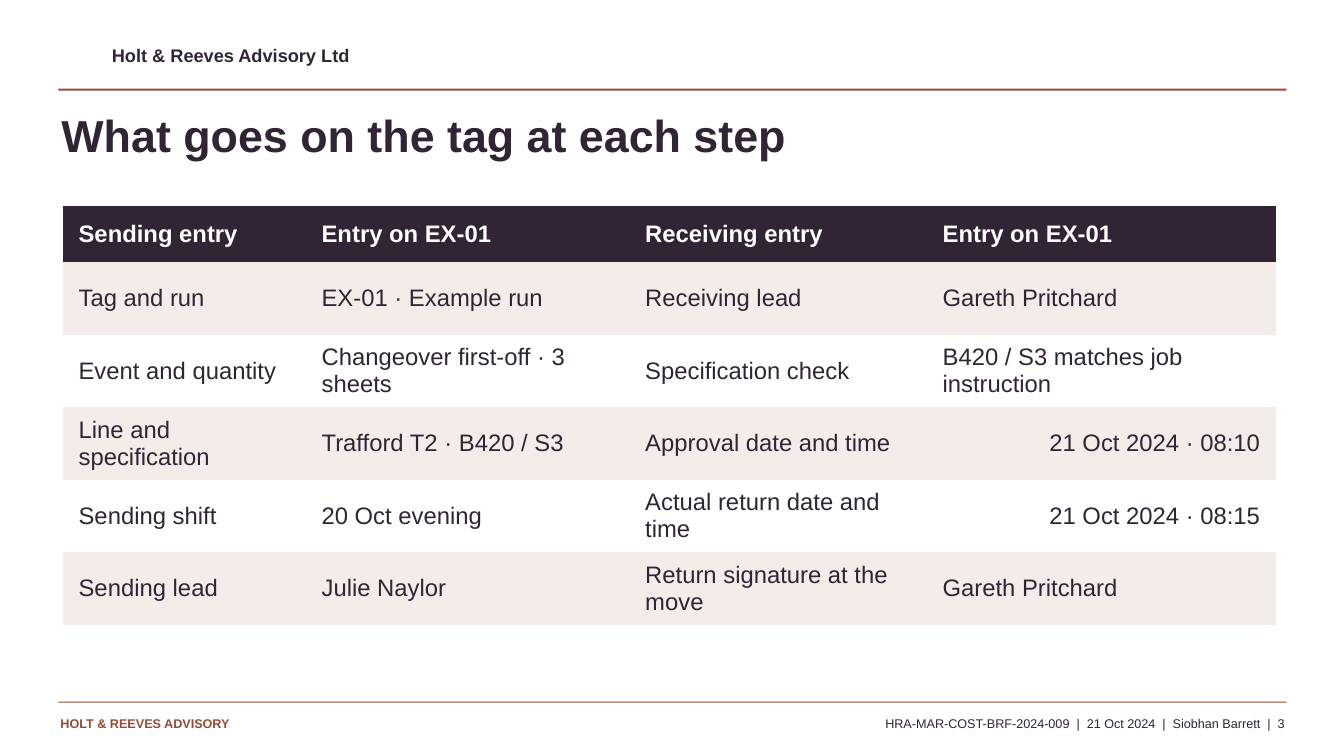
from pptx import Presentation
from pptx.dml.color import RGBColor
from pptx.enum.shapes import MSO_SHAPE as Shape
from pptx.enum.text import MSO_ANCHOR as Anchor, PP_ALIGN as Align
from pptx.oxml.ns import qn
from pptx.util import Inches, Pt

PLUM, RUST, BLUSH, WHITE = "302435", "964B37", "F4ECE8", "FFFFFF"

# text, (left, top, width, height), format
LABELS = [
    ("Holt & Reeves Advisory Ltd", (1.11, 0.44, 6, 0.27),
     dict(size=13, bold=True)),
    ("What goes on the tag at each step", (0.61, 1.07, 12, 0.78),
     dict(size=32, bold=True)),
    ("HOLT & REEVES ADVISORY", (0.6, 7.1, 3.4, 0.25),
     dict(size=9, bold=True, color=RUST)),
    ("HRA-MAR-COST-BRF-2024-009  |  21 Oct 2024  |  Siobhan Barrett  |  3",
     (4.12, 7.1, 8.62, 0.24), dict(size=9, align=Align.RIGHT)),
]

# (left, top, width, height) of the header and footer rules
RULES = [(0.58, 0.88, 12.18, 0.02), (0.58, 6.96, 12.18, 0.01)]

TAG_ENTRIES = [
    ("Sending entry", "Entry on EX-01", "Receiving entry", "Entry on EX-01"),
    ("Tag and run", "EX-01 · Example run", "Receiving lead", "Gareth Pritchard"),
    ("Event and quantity", "Changeover first-off · 3 sheets",
     "Specification check", "B420 / S3 matches job instruction"),
    ("Line and specification", "Trafford T2 · B420 / S3",
     "Approval date and time", "21 Oct 2024 · 08:10"),
    ("Sending shift", "20 Oct evening",
     "Actual return date and time", "21 Oct 2024 · 08:15"),
    ("Sending lead", "Julie Naylor",
     "Return signature at the move", "Gareth Pritchard"),
]
TABLE_LEFT, TABLE_TOP = 0.62, 2.04
COLUMN_WIDTHS = [2.41, 3.21, 2.95, 3.47]
HEADER_HEIGHT, ENTRY_HEIGHT = 0.56, 0.72
NO_STYLE_NO_GRID = "{2D5ABB26-0587-4C30-8999-92F81FD0307C}"
CELL_FORMAT = dict(
    vertical_anchor=Anchor.MIDDLE,
    margin_left=Inches(0.16), margin_right=Inches(0.16),
    margin_top=Inches(0.05), margin_bottom=Inches(0.05),
)
LABEL_FORMAT = dict(
    word_wrap=True, vertical_anchor=Anchor.TOP,
    margin_left=0, margin_right=0, margin_top=0, margin_bottom=0,
)


def apply(target, settings):
    for name, value in settings.items():
        setattr(target, name, value)


def paint(fill, color):
    fill.solid()
    fill.fore_color.rgb = RGBColor.from_string(color)


def write(frame, text, size, bold=False, color=PLUM, align=Align.LEFT):
    paragraph = frame.paragraphs[0]
    paragraph.alignment = align
    run = paragraph.add_run()
    run.text = text
    apply(run.font, dict(name="Arial", size=Pt(size), bold=bold))
    run.font.color.rgb = RGBColor.from_string(color)


def add_rule(slide, box):
    rule = slide.shapes.add_shape(Shape.RECTANGLE, *map(Inches, box))
    rule.shadow.inherit = False
    rule.line.fill.background()
    paint(rule.fill, RUST)


def add_label(slide, text, box, style):
    frame = slide.shapes.add_textbox(*map(Inches, box)).text_frame
    apply(frame, LABEL_FORMAT)
    write(frame, text, **style)


def add_tag_table(slide):
    heights = [HEADER_HEIGHT] + [ENTRY_HEIGHT] * (len(TAG_ENTRIES) - 1)
    box = (TABLE_LEFT, TABLE_TOP, sum(COLUMN_WIDTHS), sum(heights))
    graphic = slide.shapes.add_table(
        len(heights), len(COLUMN_WIDTHS), *map(Inches, box))
    table = graphic.table
    next(graphic.element.iter(qn("a:tableStyleId"))).text = NO_STYLE_NO_GRID
    for column, width in zip(table.columns, COLUMN_WIDTHS):
        column.width = Inches(width)
    for r, (height, entries) in enumerate(zip(heights, TAG_ENTRIES)):
        table.rows[r].height = Inches(height)
        header = r == 0
        band = PLUM if header else BLUSH if r % 2 else WHITE
        for c, entry in enumerate(entries):
            cell = table.cell(r, c)
            apply(cell, CELL_FORMAT)
            paint(cell.fill, band)
            is_time = entry.startswith("21 Oct")
            write(cell.text_frame, entry, 17, bold=header,
                  color=WHITE if header else PLUM,
                  align=Align.RIGHT if is_time else Align.LEFT)


def main():
    deck = Presentation()
    deck.slide_width, deck.slide_height = Inches(13.33), Inches(7.5)
    slide = deck.slides.add_slide(deck.slide_layouts[6])
    paint(slide.background.fill, WHITE)
    for box in RULES:
        add_rule(slide, box)
    for text, box, style in LABELS:
        add_label(slide, text, box, style)
    add_tag_table(slide)
    deck.save("out.pptx")


if __name__ == "__main__":
    main()
